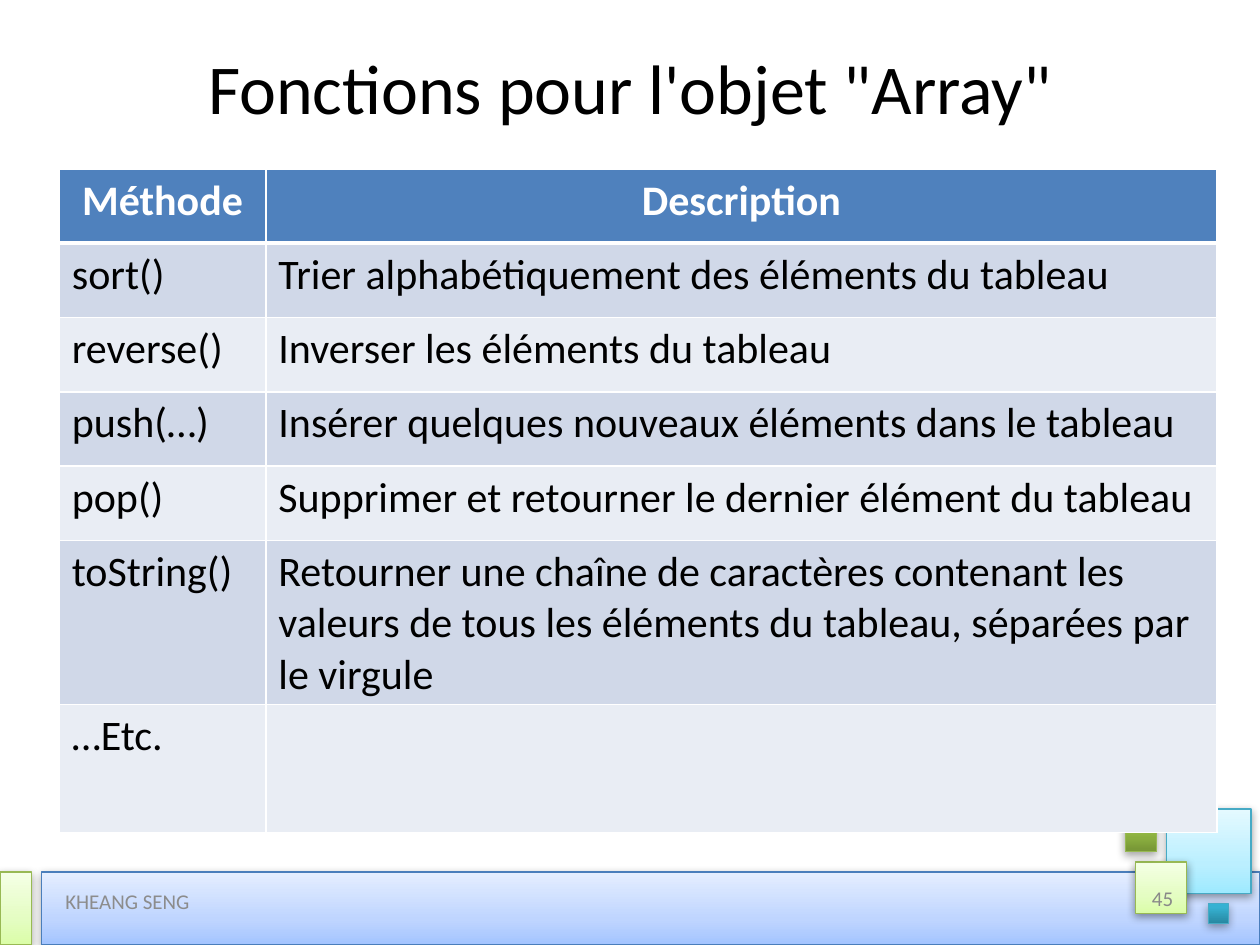
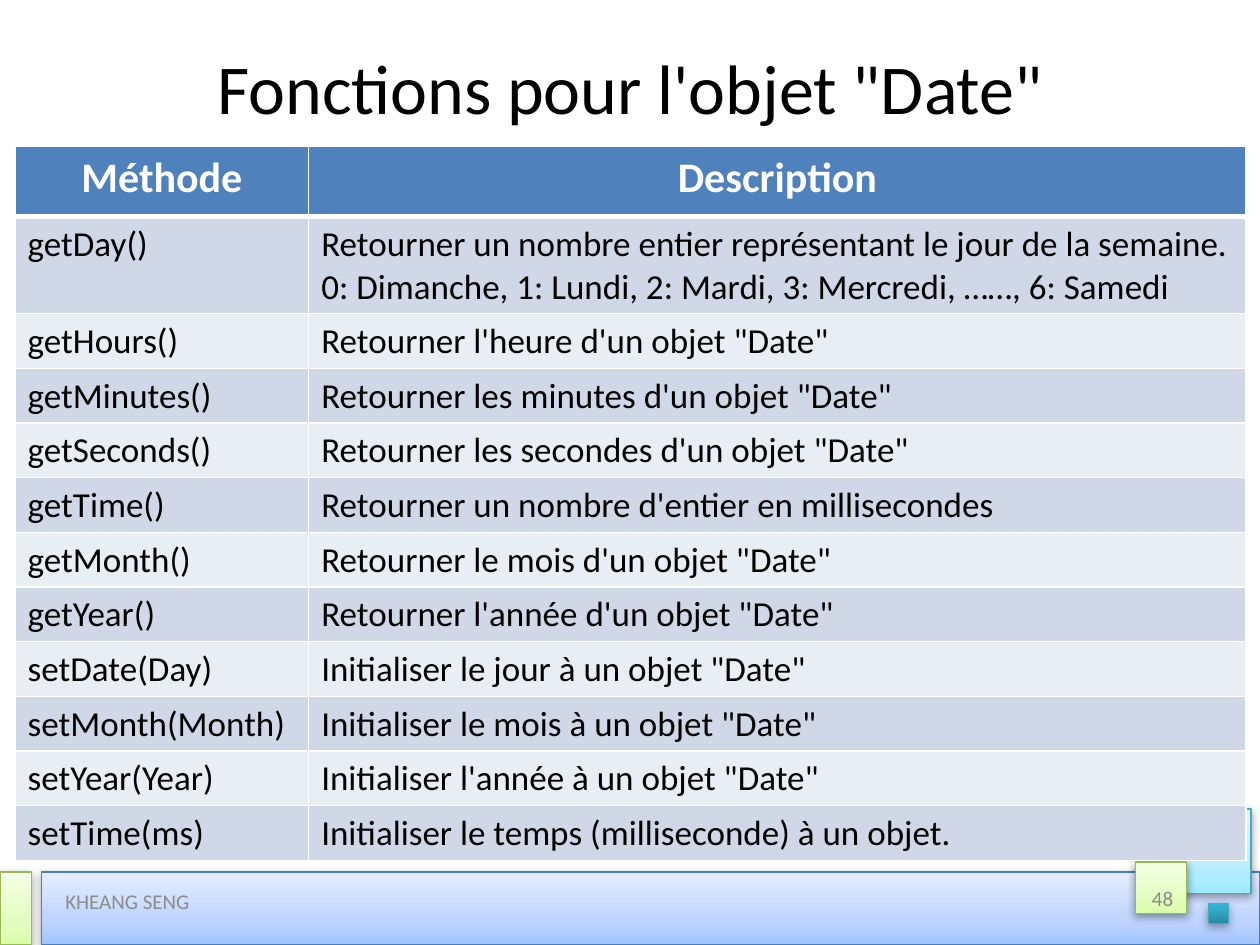
"""Builds two slides that list the methods of the Array and Date objects."""
from dataclasses import dataclass

from lxml.etree import SubElement
from pptx import Presentation
from pptx.dml.color import RGBColor
from pptx.enum.shapes import MSO_SHAPE
from pptx.enum.text import MSO_ANCHOR, PP_ALIGN
from pptx.oxml.ns import qn
from pptx.util import Inches, Pt


@dataclass(frozen=True)
class Theme:
    font: str = "Calibri"
    ink: str = "000000"
    white: str = "FFFFFF"
    header: str = "4F81BD"
    bands: tuple = ("D0D8E8", "E9EDF4")
    author: str = "8C8C8C"
    number: str = "898989"
    title_size: int = 40
    header_size: int = 24
    footer_size: int = 12
    rule: int = 1
    header_rule: int = 3


@dataclass(frozen=True)
class Tile:
    stops: tuple
    line: str
    shadow_alpha: int = 38
    shadow_dist: float = 1.6


T = Theme()

BLUE = Tile(((0, "A3C4FF"), (35, "BFD5FF"), (100, "E5EEFF")), "4A7EBB")
CYAN = Tile(((0, "9EEAFF"), (35, "BBEFFF"), (100, "E4F9FF")), "46AAC5")
LIME = Tile(((0, "DAFDA7"), (35, "E4FDC2"), (100, "F5FFE6")), "98B954")
GREEN = Tile(((0, "769535"), (80, "9BC348"), (100, "9CC746")), "98B954", 35, 1.8)
TEAL = Tile(((0, "2787A0"), (80, "36B1D2"), (100, "34B3D6")), "46AAC5", 35, 1.8)

TILES = (
    (BLUE, (0.33, 6.92, 9.67, 0.58)),
    (CYAN, (9.26, 6.42, 0.67, 0.67)),
    (LIME, (9.01, 6.84, 0.41, 0.41)),
    (GREEN, (8.93, 6.51, 0.25, 0.25)),
    (TEAL, (9.59, 7.17, 0.16, 0.16)),
    (LIME, (0, 6.92, 0.25, 0.58)),
)
TITLE_BOX = (0.5, 0.25, 9, 0.87)
NUMBER_BOX = (7.08, 6.93, 2.33, 0.4)
AUTHOR_BOX = (0.42, 6.95, 3.17, 0.4)

HEADINGS = ("Méthode", "Description")
ARRAY_METHODS = (
    ("sort()", "Trier alphabétiquement des éléments du tableau"),
    ("reverse()", "Inverser les éléments du tableau"),
    ("push(…)", "Insérer quelques nouveaux éléments dans le tableau"),
    ("pop()", "Supprimer et retourner le dernier élément du tableau"),
    ("toString()", "Retourner une chaîne de caractères contenant les valeurs "
                   "de tous les éléments du tableau, séparées par le virgule"),
    ("…Etc.", ""),
)
DATE_METHODS = (
    ("getDay()", "Retourner un nombre entier représentant le jour de la semaine.\n"
                 "0: Dimanche, 1: Lundi, 2: Mardi, 3: Mercredi, ……, 6: Samedi"),
    ("getHours()", "Retourner l'heure d'un objet \"Date\""),
    ("getMinutes()", "Retourner les minutes d'un objet \"Date\""),
    ("getSeconds()", "Retourner les secondes d'un objet \"Date\""),
    ("getTime()", "Retourner un nombre d'entier en millisecondes"),
    ("getMonth()", "Retourner le mois d'un objet \"Date\""),
    ("getYear()", "Retourner l'année d'un objet \"Date\""),
    ("setDate(Day)", "Initialiser le jour à un objet \"Date\""),
    ("setMonth(Month)", "Initialiser le mois à un objet \"Date\""),
    ("setYear(Year)", "Initialiser l'année à un objet \"Date\""),
    ("setTime(ms)", "Initialiser le temps (milliseconde) à un objet."),
)


def inches(box):
    return [Inches(v) for v in box]


def write(tf, text, size, color=T.ink, bold=False, align=PP_ALIGN.LEFT,
          anchor=MSO_ANCHOR.MIDDLE):
    tf.word_wrap = True
    tf.vertical_anchor = anchor
    tf.text = text
    for p in tf.paragraphs:
        p.alignment = align
        for r in p.runs:
            r.font.name = T.font
            r.font.size = Pt(size)
            r.font.bold = bold
            r.font.color.rgb = RGBColor.from_string(color)


def add_color(parent, color, alpha=100):
    clr = SubElement(parent, qn("a:srgbClr"), val=color)
    if alpha < 100:
        SubElement(clr, qn("a:alpha"), val=str(alpha * 1000))


def add_tile(s, tile, box):
    sp = s.shapes.add_shape(MSO_SHAPE.RECTANGLE, *inches(box))
    sp.fill.gradient()
    sp.fill.gradient_angle = 90
    sp.line.color.rgb = RGBColor.from_string(tile.line)
    sp.line.width = Pt(0.75)
    sp.shadow.inherit = False
    props = sp.element.spPr
    stops = props.find(".//" + qn("a:gsLst"))
    for gs in list(stops):
        stops.remove(gs)
    for pos, color in tile.stops:
        add_color(SubElement(stops, qn("a:gs"), pos=str(pos * 1000)), color)
    shadow = SubElement(props.find(qn("a:effectLst")), qn("a:outerShdw"),
                        blurRad=str(Pt(5)), dist=str(Pt(tile.shadow_dist)),
                        dir="5400000", rotWithShape="0")
    add_color(shadow, T.ink, tile.shadow_alpha)


def add_label(s, box, text, **fmt):
    sp = s.shapes.add_textbox(*inches(box))
    write(sp.text_frame, text, T.footer_size, **fmt)


def set_borders(cell, top, bottom):
    props = cell._tc.get_or_add_tcPr()
    widths = {"L": T.rule, "R": T.rule, "T": top, "B": bottom}
    for i, (side, width) in enumerate(widths.items()):
        ln = SubElement(props, qn("a:ln" + side), w=str(Pt(width)))
        add_color(SubElement(ln, qn("a:solidFill")), T.white)
        props.insert(i, ln)


def add_methods(s, box, methods, method_width, heights, size):
    rows = (HEADINGS, *methods)
    table = s.shapes.add_table(len(rows), 2, *inches(box)).table
    table.horz_banding = False
    table.columns[0].width = Inches(method_width)
    table.columns[1].width = Inches(box[2] - method_width)
    for i, (texts, height) in enumerate(zip(rows, heights)):
        table.rows[i].height = Inches(height)
        for cell, text in zip(table.rows[i].cells, texts):
            cell.fill.solid()
            fill = T.bands[(i - 1) % 2] if i else T.header
            cell.fill.fore_color.rgb = RGBColor.from_string(fill)
            set_borders(cell, T.header_rule if i == 1 else T.rule,
                        T.rule if i else T.header_rule)
            if i:
                write(cell.text_frame, text, size, anchor=None)
            else:
                write(cell.text_frame, text, T.header_size, color=T.white, bold=True,
                      align=PP_ALIGN.CENTER, anchor=None)


def add_method_slide(prs, title, number, **table):
    s = prs.slides.add_slide(prs.slide_layouts[5])
    for tile, box in TILES:
        add_tile(s, tile, box)
    sp = s.shapes.title
    sp.left, sp.top, sp.width, sp.height = inches(TITLE_BOX)
    write(sp.text_frame, title, T.title_size, align=PP_ALIGN.CENTER)
    add_label(s, NUMBER_BOX, str(number), color=T.number, align=PP_ALIGN.RIGHT)
    add_methods(s, **table)
    add_label(s, AUTHOR_BOX, "KHEANG SENG", color=T.author)


def main():
    prs = Presentation()
    prs.slide_width, prs.slide_height = Inches(10), Inches(7.5)
    add_method_slide(prs, "Fonctions pour l'objet \"Array\"", 45,
                     box=(0.47, 1.34, 9.19, 5.28), methods=ARRAY_METHODS,
                     method_width=1.64, heights=[0.59] * 5 + [1.3, 1.02], size=24)
    add_method_slide(prs, "Fonctions pour l'objet \"Date\"", 48,
                     box=(0.12, 1.16, 9.77, 5.66), methods=DATE_METHODS,
                     method_width=2.33, heights=[0.56, 0.77] + [0.43] * 10, size=20)
    prs.save("out.pptx")


if __name__ == "__main__":
    main()
